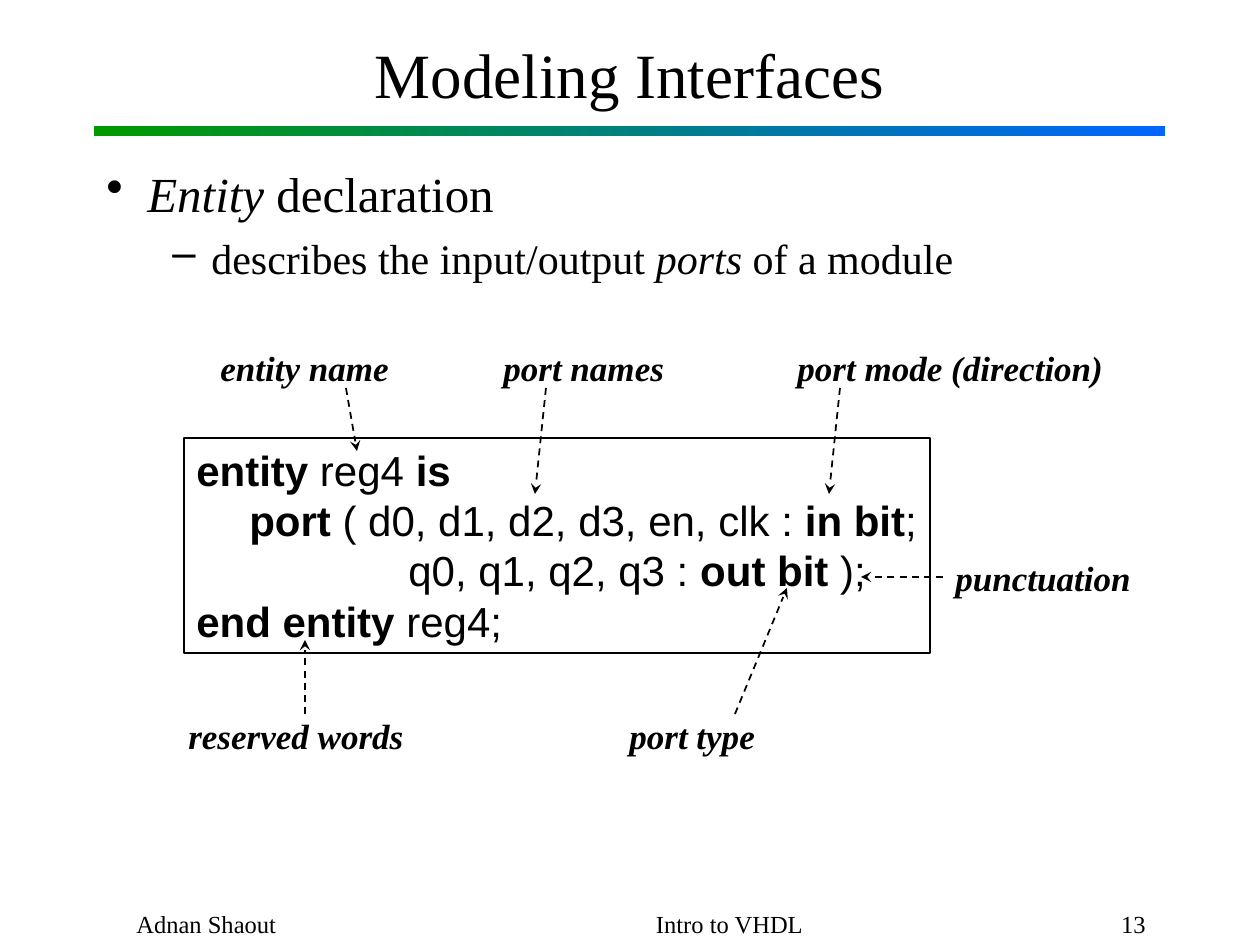
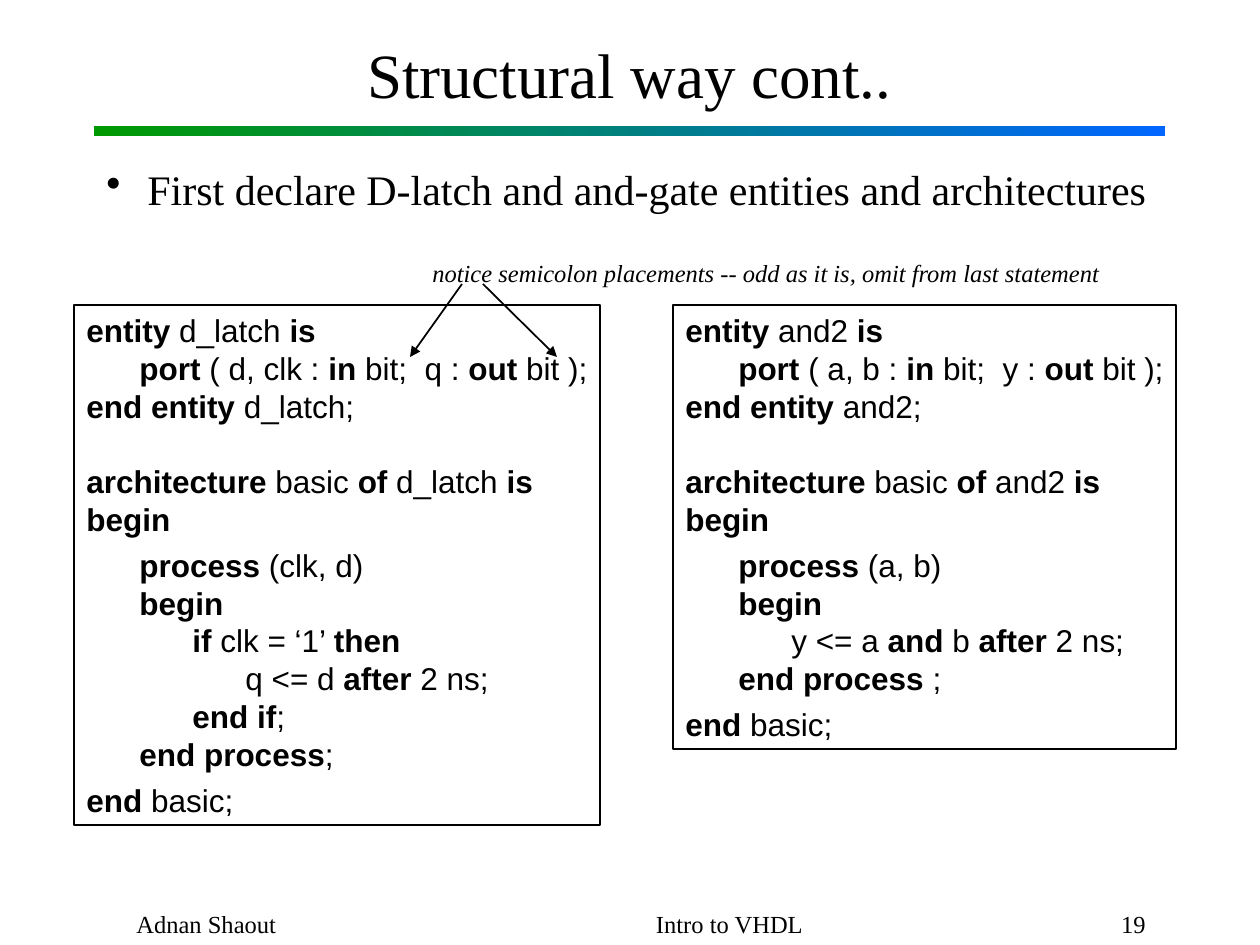
from dataclasses import dataclass
from itertools import cycle

from lxml.etree import SubElement
from pptx import Presentation
from pptx.dml.color import RGBColor
from pptx.enum.dml import MSO_LINE
from pptx.enum.shapes import MSO_CONNECTOR, MSO_SHAPE
from pptx.enum.text import MSO_ANCHOR, PP_ALIGN
from pptx.oxml.ns import qn
from pptx.util import Pt


@dataclass(frozen=True)
class Theme:
    ink: RGBColor = RGBColor(0, 0, 0)
    band_left: RGBColor = RGBColor(0x00, 0x99, 0x00)
    band_right: RGBColor = RGBColor(0x00, 0x66, 0xFF)
    serif: str = "Times New Roman"
    sans: str = "Arial"
    title: int = 36
    heading: int = 28
    body: int = 24
    label: int = 20
    small_code: int = 18
    note: int = 14


THEME = Theme()
WIDTH, HEIGHT = 1260, 945
LEFT, SPAN = 94, 1071          # column shared by title, band and body
CODE_INDENT = 53
BLANK_LINE = 21.6

# Text marks: *bold*, ~italic~. Code lines: (depth, text, points before).
REG4 = [
    (0, "*entity* reg4 *is*", 0),
    (1, "*port* ( d0, d1, d2, d3, en, clk : *in bit*;", 0),
    (4, "q0, q1, q2, q3 : *out bit* );", 0),
    (0, "*end entity* reg4;", 0),
]


def design(name, ports, inputs, statements, end_process):
    """Code lines of an entity and its basic architecture."""
    return [
        (0, f"*entity* {name} *is*", 0),
        (1, f"*port* ( {ports} );", 0),
        (0, f"*end entity* {name};", 0),
        (0, f"*architecture* basic *of* {name} *is*", BLANK_LINE),
        (0, "*begin*", 0),
        (1, f"*process* ({inputs})", 4.5),
        (1, "*begin*", 0),
        *[(depth, text, 0) for depth, text in statements],
        (1, end_process, 0),
        (0, "*end* basic;", 4.5),
    ]


D_LATCH = design(
    "d_latch", "d, clk : *in* bit;  q : *out* bit", "clk, d",
    [(2, "*if* clk = ‘1’ *then*"), (3, "q <= d *after* 2 ns;"), (2, "*end if*;")],
    "*end process*;")
AND2 = design(
    "and2", "a, b : *in* bit;  y : *out* bit", "a, b",
    [(2, "y <= a *and* b *after* 2 ns;")],
    "*end process* ;")

# Bullets: (level, text, size)
# Listings: (lines, size, left, top, width, height)
# Labels: (text, left, top, width, arrows), arrow: (from, to, joined side or None)
SLIDES = [
    {
        "title": "Modeling Interfaces",
        "number": "13",
        "bullets": [
            (0, "~Entity~ declaration", THEME.heading),
            (1, "describes the input/output ~ports~ of a module", THEME.body),
        ],
        "listings": [(REG4, THEME.body, 184, 438, 746, 215)],
        "label_format": {"size": THEME.label, "bold": True},
        "arrow_format": {"head": "stealth", "dash": MSO_LINE.DASH},
        "labels": [
            ("entity name", 208, 340, 194, [((346, 388), (357, 451), None)]),
            ("port names", 491, 340, 187, [((546, 388), (535, 494), None)]),
            ("port mode (direction)", 785, 340, 331, [((840, 388), (829, 494), None)]),
            ("port type", 617, 708, 152, [((735, 714), (787, 588), None)]),
            ("reserved words", 176, 708, 241, [((305, 714), (305, 640), None)]),
            ("punctuation", 943, 550, 200, [((943, 577), (861, 577), 1)]),
        ],
    },
    {
        "title": "Structural way cont..",
        "number": "19",
        "bullets": [
            (0, "First declare D-latch and and-gate entities and architectures",
             THEME.body),
        ],
        "listings": [
            (D_LATCH, THEME.small_code, 74, 305, 526, 520),
            (AND2, THEME.small_code, 673, 305, 503, 444),
        ],
        "label_format": {"size": THEME.note},
        "arrow_format": {"head": "triangle"},
        "labels": [
            ("notice semicolon placements -- odd as it is, omit from last statement",
             420, 252, 694,
             [((462, 284), (410, 357), None), ((483, 284), (557, 357), None)]),
        ],
    },
]

FOOTER_TOP, FOOTER_HEIGHT, FOOTER_INDENT = 903, 42, 30
BULLETS = [("•", 41, -41, 0), ("–", 105, -39, 6)]   # mark, margin, hang, points before


def px(n):
    return round(n * 914400 / 126)


def add_runs(p, text, size, font, bold, italic):
    """Split text at its marks; each mark switches its style on or off."""
    for bold_part, bold_on in zip(text.split("*"), cycle((False, True))):
        for part, italic_on in zip(bold_part.split("~"), cycle((False, True))):
            if part:
                r = p.add_run()
                r.text = part
                r.font.name, r.font.size = font, Pt(size)
                r.font.bold = bold or bold_on
                r.font.italic = italic or italic_on
                r.font.color.rgb = THEME.ink


def write(tf, text, *, size, font=THEME.serif, bold=False, italic=False,
          align=PP_ALIGN.LEFT, margin=0, hang=0, before=0, bullet=None):
    """Fill the first paragraph if empty, otherwise append one."""
    p = tf.paragraphs[-1]
    if p.runs:
        p = tf.add_paragraph()
    p.alignment = align
    p.space_before = Pt(before)
    pPr = p._p.get_or_add_pPr()
    pPr.set("marL", str(px(margin)))
    pPr.set("indent", str(px(hang)))
    if bullet:
        SubElement(pPr, qn("a:buChar")).set("char", bullet)
    add_runs(p, text, size, font, bold, italic)


def add_box(slide, x, y, w, h, anchor=MSO_ANCHOR.TOP):
    sp = slide.shapes.add_textbox(px(x), px(y), px(w), px(h))
    sp.text_frame.word_wrap = True
    sp.text_frame.vertical_anchor = anchor
    return sp


def add_rect(slide, x, y, w, h):
    sp = slide.shapes.add_shape(MSO_SHAPE.RECTANGLE, px(x), px(y), px(w), px(h))
    sp.shadow.inherit = False
    return sp


def add_frame(slide, title, number):
    """Title, colour band and footer, the same on every slide."""
    band = add_rect(slide, LEFT, 126, SPAN, 10)
    band.line.fill.background()
    band.fill.gradient()
    band.fill.gradient_angle = 0
    for stop, color in zip(band.fill.gradient_stops,
                           (THEME.band_left, THEME.band_right)):
        stop.color.rgb = color
    sp = add_box(slide, LEFT, 21, SPAN, 105, MSO_ANCHOR.MIDDLE)
    write(sp.text_frame, title, size=THEME.title, align=PP_ALIGN.CENTER)
    for text, x, w, align in (
        ("Adnan Shaout", LEFT, 262, PP_ALIGN.LEFT),
        ("Intro to VHDL", 368, 693, PP_ALIGN.CENTER),
        (number, 1064, 94, PP_ALIGN.RIGHT),
    ):
        sp = add_box(slide, x, FOOTER_TOP, w, FOOTER_HEIGHT, MSO_ANCHOR.MIDDLE)
        write(sp.text_frame, text, size=THEME.note, align=align, margin=FOOTER_INDENT)


def add_bullets(slide, bullets):
    sp = add_box(slide, LEFT, 157, SPAN, 74 * len(bullets))
    for level, text, size in bullets:
        mark, margin, hang, before = BULLETS[level]
        write(sp.text_frame, text, size=size, bullet=mark,
              margin=margin, hang=hang, before=before)


def add_listing(slide, lines, size, x, y, w, h):
    sp = add_rect(slide, x, y, w, h)
    sp.fill.background()
    sp.line.color.rgb, sp.line.width = THEME.ink, Pt(1)
    tf = sp.text_frame
    tf.word_wrap, tf.vertical_anchor, tf.margin_right = True, MSO_ANCHOR.TOP, 0
    for depth, text, before in lines:
        write(tf, text, size=size, font=THEME.sans,
              margin=depth * CODE_INDENT, before=before)


def add_arrow(slide, start, end, head, dash=None):
    cn = slide.shapes.add_connector(MSO_CONNECTOR.STRAIGHT,
                                    *map(px, start), *map(px, end))
    cn.line.color.rgb, cn.line.width = THEME.ink, Pt(1)
    if dash:
        cn.line.dash_style = dash
    SubElement(cn.line._get_or_add_ln(), qn("a:tailEnd")).set("type", head)
    SubElement(cn._element.spPr, qn("a:effectLst"))
    return cn


def add_label(slide, text, x, y, w, arrows, label_format, arrow_format):
    sp = add_box(slide, x, y, w, 54)
    sp.text_frame.margin_right = 0
    write(sp.text_frame, text, italic=True, **label_format)
    for start, end, side in arrows:
        cn = add_arrow(slide, start, end, **arrow_format)
        if side is not None:
            cn.begin_connect(sp, side)


def main():
    prs = Presentation()
    prs.slide_width, prs.slide_height = px(WIDTH), px(HEIGHT)
    for content in SLIDES:
        slide = prs.slides.add_slide(prs.slide_layouts[6])
        add_frame(slide, content["title"], content["number"])
        add_bullets(slide, content["bullets"])
        for listing in content["listings"]:
            add_listing(slide, *listing)
        for label in content["labels"]:
            add_label(slide, *label, content["label_format"], content["arrow_format"])
    prs.save("out.pptx")


if __name__ == "__main__":
    main()
